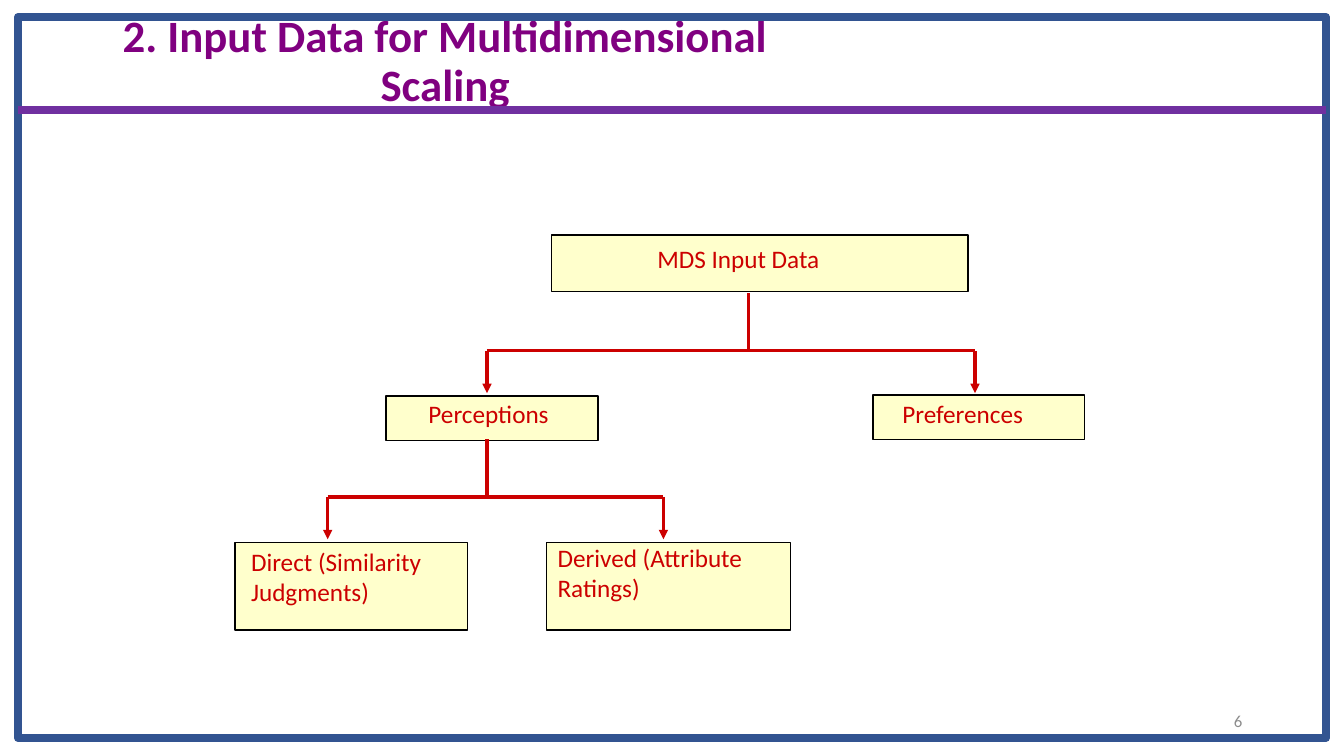
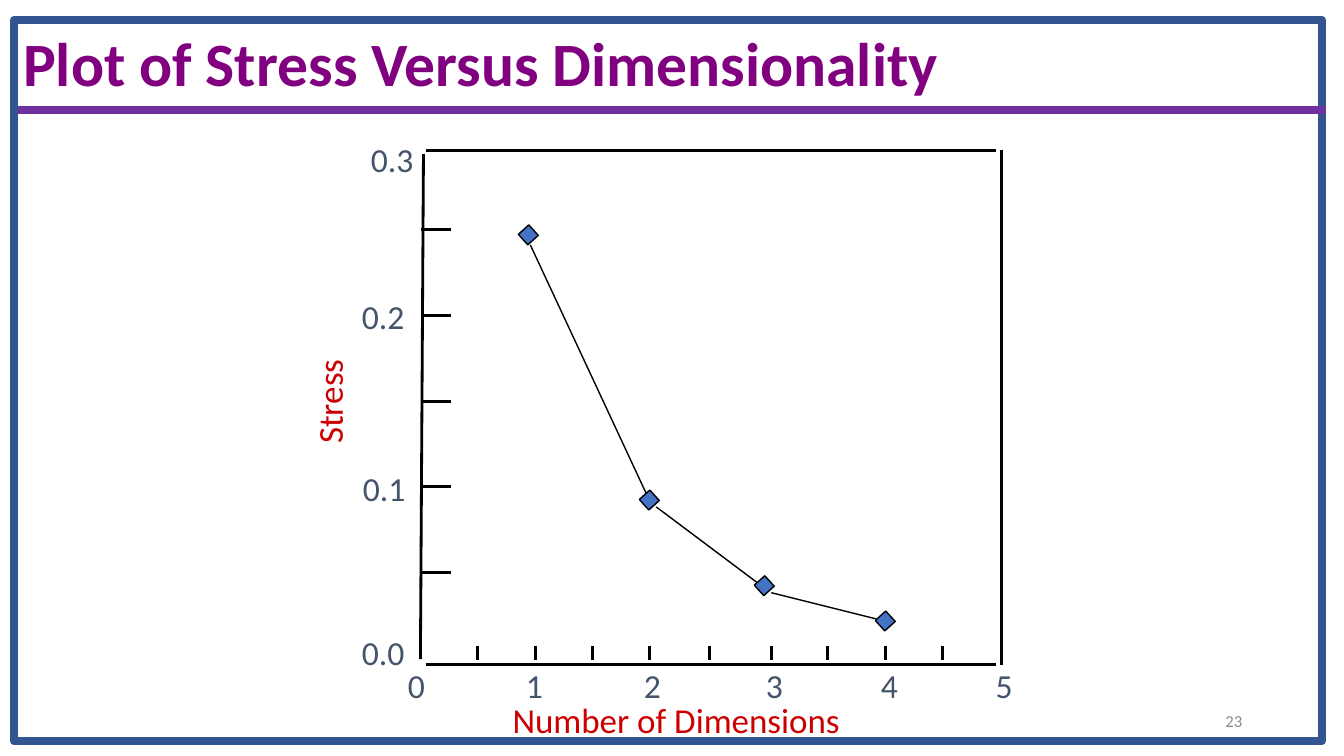
from dataclasses import dataclass

from lxml import etree
from pptx import Presentation
from pptx import util as u
from pptx.dml.color import RGBColor
from pptx.enum import shapes, text
from pptx.oxml import ns

PX = 9144
FONT = "Calibri"
COLORS = {
    "title": "800080",
    "rule": "7030A0",
    "frame": "325491",
    "number": "8C8C8C",
    "accent": "CC0000",
    "node": "FFFFCC",
    "ink": "000000",
    "scale": "44546A",
    "marker": "4472C4",
}
LEFT, CENTER, RIGHT = text.PP_ALIGN.LEFT, text.PP_ALIGN.CENTER, text.PP_ALIGN.RIGHT
TOP, MIDDLE = text.MSO_ANCHOR.TOP, text.MSO_ANCHOR.MIDDLE


@dataclass(frozen=True)
class Box:
    left: int
    top: int
    width: int
    height: int

    def emu(self) -> list[u.Emu]:
        return [px(side) for side in (self.left, self.top, self.width, self.height)]


@dataclass(frozen=True)
class Node:
    label: str
    box: Box
    indent: int
    drop: int


@dataclass(frozen=True)
class Branch:
    stem_x: int
    stem_top: int
    bar_y: int
    child_xs: tuple[int, int]
    arrow_y: int


@dataclass(frozen=True)
class ScaleLabel:
    label: str
    x: int
    y: int


@dataclass(frozen=True)
class Segment:
    x1: int
    y1: int
    x2: int
    y2: int


NODES = (
    Node("MDS Input Data", Box(547, 233, 413, 56), 105, 8),
    Node("Perceptions", Box(383, 393, 210, 44), 42, 2),
    Node("Preferences", Box(866, 392, 210, 44), 29, 3),
    Node("Direct (Similarity Judgments)", Box(233, 538, 231, 87), 16, 4),
    Node("Derived (Attribute Ratings)", Box(542, 538, 242, 87), 11, 0),
)
BRANCHES = (
    Branch(742, 291, 348, (483, 967), 390),
    Branch(483, 436, 493, (325, 658), 535),
)

PLOT_EDGES = (
    Segment(423, 659, 988, 659),
    Segment(420, 153, 417, 654),
    Segment(423, 149, 988, 149),
    Segment(993, 660, 993, 149),
)
STRESS_TICKS = range(228, 569, 85)
DIMENSION_TICKS = (474, 531, 588, 644, 704, 765, 821, 878, 935)
SCALE_LABELS = (
    ScaleLabel("0.3", 389, 158),
    ScaleLabel("0.2", 380, 314),
    ScaleLabel("0.1", 381, 484),
    ScaleLabel("0.0", 380, 647),
    ScaleLabel("0", 413, 680),
    ScaleLabel("1", 530, 680),
    ScaleLabel("2", 647, 680),
    ScaleLabel("3", 768, 680),
    ScaleLabel("4", 882, 680),
    ScaleLabel("5", 996, 680),
)
STRESS_CURVE = (
    Segment(526, 243, 643, 494),
    Segment(651, 503, 755, 581),
    Segment(765, 588, 869, 614),
)
STRESS_POINTS = ((524, 233), (644, 496), (758, 581), (878, 616))
MARKER = 14


def px(length: int) -> u.Emu:
    return u.Emu(length * PX)


def rgb(color: str) -> RGBColor:
    return RGBColor.from_string(COLORS[color])


def write(frame, words: str, *, size: int, color: str, bold: bool = False,
          align=LEFT, anchor=TOP, margins=(10, 5, 10, 5), spacing: float = 1.0) -> None:
    frame.word_wrap = True
    frame.vertical_anchor = anchor
    frame.margin_left, frame.margin_top, frame.margin_right, frame.margin_bottom = map(px, margins)
    paragraph = frame.paragraphs[0]
    paragraph.alignment = align
    paragraph.line_spacing = spacing
    run = paragraph.add_run()
    run.text = words
    run.font.name = FONT
    run.font.size = u.Pt(size)
    run.font.bold = bold
    run.font.color.rgb = rgb(color)


def add_text(slide, box: Box, words: str, *, rotation: int = 0, **style) -> None:
    holder = slide.shapes.add_textbox(*box.emu())
    holder.rotation = rotation
    write(holder.text_frame, words, **style)


def add_rect(slide, box: Box, *, fill: str | None = None, line: str = "ink",
             weight: float = 1, rotation: int = 0):
    rect = slide.shapes.add_shape(shapes.MSO_SHAPE.RECTANGLE, *box.emu())
    rect.shadow.inherit = False
    rect.rotation = rotation
    if fill:
        rect.fill.solid()
        rect.fill.fore_color.rgb = rgb(fill)
    else:
        rect.fill.background()
    rect.line.color.rgb = rgb(line)
    rect.line.width = u.Pt(weight)
    return rect


def add_line(slide, segment: Segment, *, color: str = "ink", weight: float = 2,
             arrow: bool = False) -> None:
    ends = map(px, (segment.x1, segment.y1, segment.x2, segment.y2))
    line = slide.shapes.add_connector(shapes.MSO_CONNECTOR.STRAIGHT, *ends)
    line.line.color.rgb = rgb(color)
    line.line.width = u.Pt(weight)
    properties = line.element.spPr
    if arrow:
        outline = properties.find(ns.qn("a:ln"))
        etree.SubElement(outline, ns.qn("a:tailEnd"), type="triangle")
    etree.SubElement(properties, ns.qn("a:effectLst"))


def add_title(slide, box: Box, words: str, size: int) -> None:
    add_text(slide, box, words, size=size, color="title", bold=True,
             align=CENTER, anchor=MIDDLE, spacing=0.9)


def add_furniture(slide, number: str, frame_left: int, frame_top: int) -> None:
    add_rect(slide, Box(frame_left, frame_top, 1297, 715), line="frame", weight=6)
    add_line(slide, Segment(18, 109, 1315, 109), color="rule", weight=6)
    add_text(slide, Box(942, 695, 300, 40), number, size=12, color="number",
             align=RIGHT, anchor=MIDDLE)


def add_branch(slide, branch: Branch) -> None:
    first, last = branch.child_xs
    bar = branch.bar_y
    for segment in (Segment(branch.stem_x, branch.stem_top, branch.stem_x, bar),
                    Segment(first, bar, last, bar)):
        add_line(slide, segment, color="accent", weight=2.25)
    for x in branch.child_xs:
        add_line(slide, Segment(x, bar, x, branch.arrow_y), color="accent",
                 weight=2.25, arrow=True)


def build_input_data(slide) -> None:
    add_title(slide, Box(59, 22, 765, 80), "2. Input Data for Multidimensional Scaling", 32)
    for node in NODES:
        rect = add_rect(slide, node.box, fill="node")
        write(rect.text_frame, node.label, size=18, color="accent",
              margins=(node.indent, node.drop, 7, 0))
    for branch in BRANCHES:
        add_branch(slide, branch)
    add_furniture(slide, "6", 18, 17)


def build_stress_plot(slide) -> None:
    add_title(slide, Box(1, 26, 953, 80), "Plot of Stress Versus Dimensionality", 44)
    stress_ticks = [Segment(447, y, 418, y) for y in STRESS_TICKS]
    dimension_ticks = [Segment(x, 641, x, 655) for x in DIMENSION_TICKS]
    for segment in (*PLOT_EDGES, *stress_ticks, *dimension_ticks):
        add_line(slide, segment)
    for mark in SCALE_LABELS:
        add_text(slide, Box(mark.x - 40, mark.y - 25, 80, 50), mark.label,
                 size=24, color="scale", align=CENTER)
    add_text(slide, Box(450, 688, 441, 51), "Number of Dimensions",
             size=25, color="accent", align=CENTER)
    add_text(slide, Box(262, 373, 128, 51), "Stress", rotation=270,
             size=25, color="accent", align=CENTER)
    for segment in STRESS_CURVE:
        add_line(slide, segment, weight=1)
    for x, y in STRESS_POINTS:
        add_rect(slide, Box(x - MARKER // 2, y - MARKER // 2, MARKER, MARKER),
                 fill="marker", rotation=228)
    add_furniture(slide, "23", 14, 20)


def main() -> None:
    deck = Presentation()
    deck.slide_width, deck.slide_height = px(1333), px(750)
    blank = deck.slide_layouts[6]
    for build in (build_input_data, build_stress_plot):
        build(deck.slides.add_slide(blank))
    deck.save("out.pptx")


if __name__ == "__main__":
    main()
